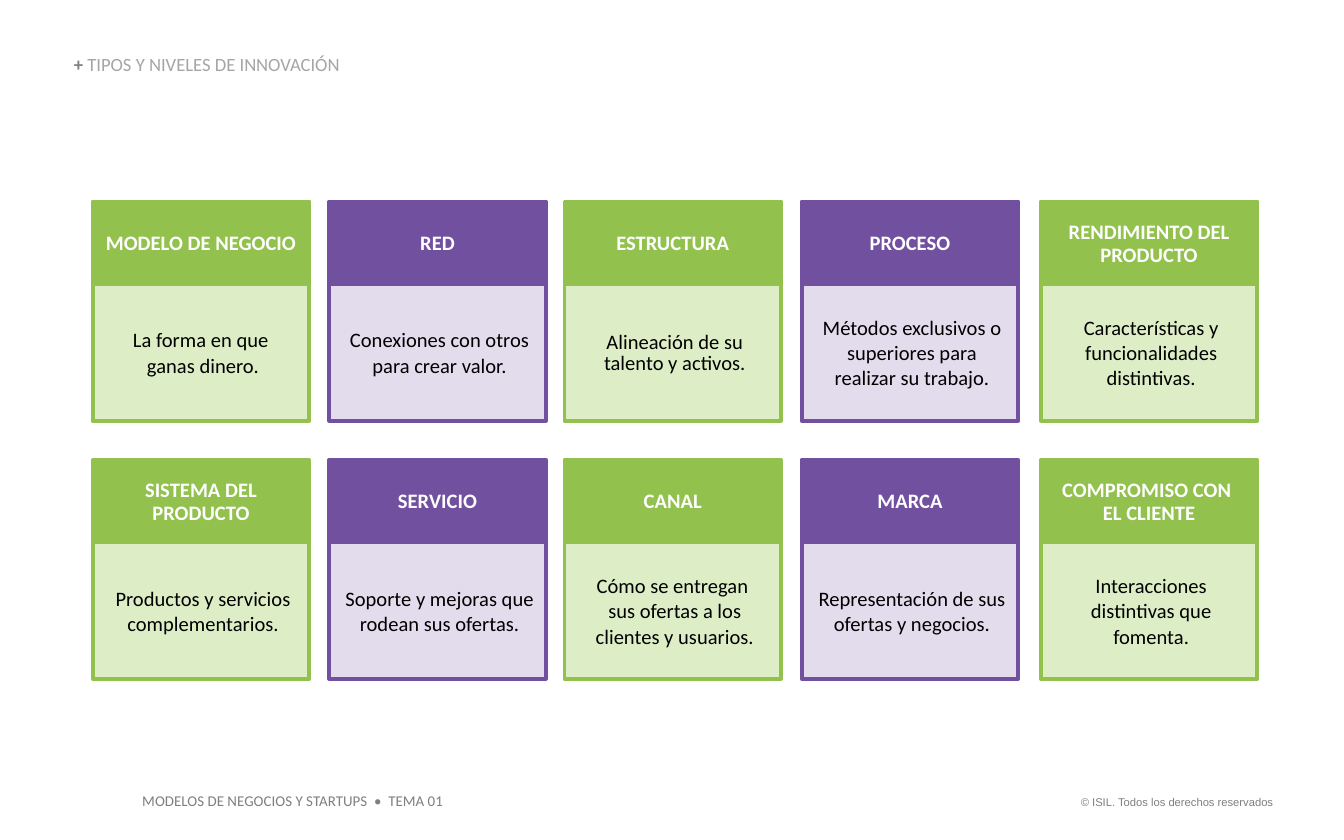
from copy import deepcopy

from lxml.etree import SubElement
from pptx import Presentation
from pptx.dml.color import RGBColor
from pptx.enum.shapes import MSO_SHAPE
from pptx.enum.text import MSO_ANCHOR as Anchor, MSO_AUTO_SIZE as AutoSize, PP_ALIGN as Align
from pptx.oxml.ns import qn
from pptx.util import Pt

GREEN = ("92C14E", "DDEEC7")
PURPLE = ("7150A0", "E3DCED")
NO_GRID_STYLE = "{2D5ABB26-0587-4C30-8999-92F81FD0307C}"
COLUMN_LEFTS = (49.7, 176.4, 302.4, 429.5, 557.6)
ROW_TOPS = (108, 246.3)
CARD_WIDTH = 116
HEADER_HEIGHT = 45.4
BODY_HEIGHT = 72

CARDS = (
    (
        ("MODELO DE NEGOCIO", "La forma en que \vganas dinero."),
        ("RED", "Conexiones con otros para crear valor."),
        ("ESTRUCTURA", "Alineación de su talento y activos."),
        ("PROCESO", "Métodos exclusivos o superiores para realizar su trabajo."),
        ("RENDIMIENTO DEL PRODUCTO", "Características y funcionalidades distintivas."),
    ),
    (
        ("SISTEMA DEL PRODUCTO", "Productos y servicios complementarios."),
        ("SERVICIO", "Soporte y mejoras que rodean sus ofertas."),
        ("CANAL", "Cómo se entregan \vsus ofertas a los clientes y usuarios."),
        ("MARCA", "Representación de sus ofertas y negocios."),
        ("COMPROMISO CON \vEL CLIENTE", "Interacciones distintivas que fomenta."),
    ),
)


def color(value):
    return RGBColor.from_string(value)


def apply(target, **values):
    for name, value in values.items():
        setattr(target, name, value)


def format_run(run, size, fill, bold=False, name="Calibri"):
    apply(run.font, size=Pt(size), bold=bold, name=name)
    run.font.color.rgb = color(fill)


def write(paragraph, text, size, fill, **values):
    paragraph.text = text
    for run in paragraph.runs:
        format_run(run, size, fill, **values)
    for line_break in paragraph._p.findall(qn("a:br")):
        line_break.insert(0, deepcopy(paragraph.runs[0]._r.rPr))


def place_title(slide, left, top, width, height):
    title = slide.shapes.title
    apply(title, left=Pt(left), top=Pt(top), width=Pt(width), height=Pt(height))
    frame = title.text_frame
    apply(frame, margin_left=0, margin_top=0, margin_right=0, margin_bottom=0,
          word_wrap=True, auto_size=AutoSize.NONE, vertical_anchor=Anchor.BOTTOM)
    paragraph = frame.paragraphs[0]
    apply(paragraph, alignment=Align.LEFT, line_spacing=0.9, space_before=Pt(0))
    for text, fill, bold in (("+ ", "7F7F7F", True),
                             ("TIPOS Y NIVELES DE INNOVACIÓN", "A5A5A5", False)):
        run = paragraph.add_run()
        run.text = text
        format_run(run, 10, fill, bold)


def place_footer(slide, left, top, width, height, text, size, name, alignment):
    box = slide.shapes.add_textbox(Pt(left), Pt(top), Pt(width), Pt(height))
    box.text_frame.word_wrap = True
    paragraph = box.text_frame.paragraphs[0]
    paragraph.alignment = alignment
    write(paragraph, text, size, "7F7F7F", name=name)


def fill_cell(cell, fill, left_margin):
    cell.fill.solid()
    cell.fill.fore_color.rgb = color(fill)
    apply(cell, vertical_anchor=Anchor.MIDDLE, margin_left=Pt(left_margin),
          margin_right=Pt(5), margin_top=0, margin_bottom=0)
    paragraph = cell.text_frame.paragraphs[0]
    paragraph.alignment = Align.CENTER
    return paragraph


def add_bottom_border(cell, fill):
    border = SubElement(cell._tc.get_or_add_tcPr(), qn("a:lnB"), w=str(Pt(1)))
    solid = SubElement(border, qn("a:solidFill"))
    SubElement(solid, qn("a:srgbClr"), val=fill)
    cell._tc.tcPr.insert(0, border)


def place_card(slide, left, top, heading, description, palette):
    strong, light = palette
    box = (Pt(left), Pt(top), Pt(CARD_WIDTH), Pt(HEADER_HEIGHT + BODY_HEIGHT))
    table = slide.shapes.add_table(2, 1, *box).table
    apply(table, first_row=False, horz_banding=False)
    table._tbl.tblPr.find(qn("a:tableStyleId")).text = NO_GRID_STYLE
    for row, height in zip(table.rows, (HEADER_HEIGHT, BODY_HEIGHT)):
        row.height = Pt(height)

    paragraph = fill_cell(table.cell(0, 0), strong, 5)
    paragraph.line_spacing = 0.9
    write(paragraph, heading, 11, "FFFFFF", bold=True)

    body = table.cell(1, 0)
    paragraph = fill_cell(body, light, 0)
    paragraph._p.get_or_add_pPr().set("marL", str(Pt(7.2)))
    if heading == "ESTRUCTURA":
        paragraph.line_spacing = 0.85
    write(paragraph, description, 11, "000000")
    add_bottom_border(body, "FFFFFF")

    outline = slide.shapes.add_shape(MSO_SHAPE.ROUNDED_RECTANGLE, *box)
    outline.adjustments[0] = 0
    outline.shadow.inherit = False
    outline.fill.background()
    outline.line.color.rgb = color(strong)
    outline.line.width = Pt(2)


def place_cards(slide):
    for top, cards in zip(ROW_TOPS, CARDS):
        for index, (left, card) in enumerate(zip(COLUMN_LEFTS, cards)):
            place_card(slide, left, top, *card, PURPLE if index % 2 else GREEN)


def main():
    presentation = Presentation()
    apply(presentation, slide_width=Pt(720), slide_height=Pt(450))
    slide = presentation.slides.add_slide(presentation.slide_layouts[5])
    place_footer(slide, 567.4, 422.6, 121.7, 14.4,
                 "© ISIL. Todos los derechos reservados", 6, "Arial", Align.RIGHT)
    place_footer(slide, 69.1, 420.5, 176.4, 17.3,
                 "MODELOS DE NEGOCIOS Y STARTUPS  •  TEMA 01", 8, "Calibri", Align.LEFT)
    place_title(slide, 39.6, 29.5, 334.8, 10.8)
    place_cards(slide)
    presentation.save("out.pptx")


if __name__ == "__main__":
    main()
